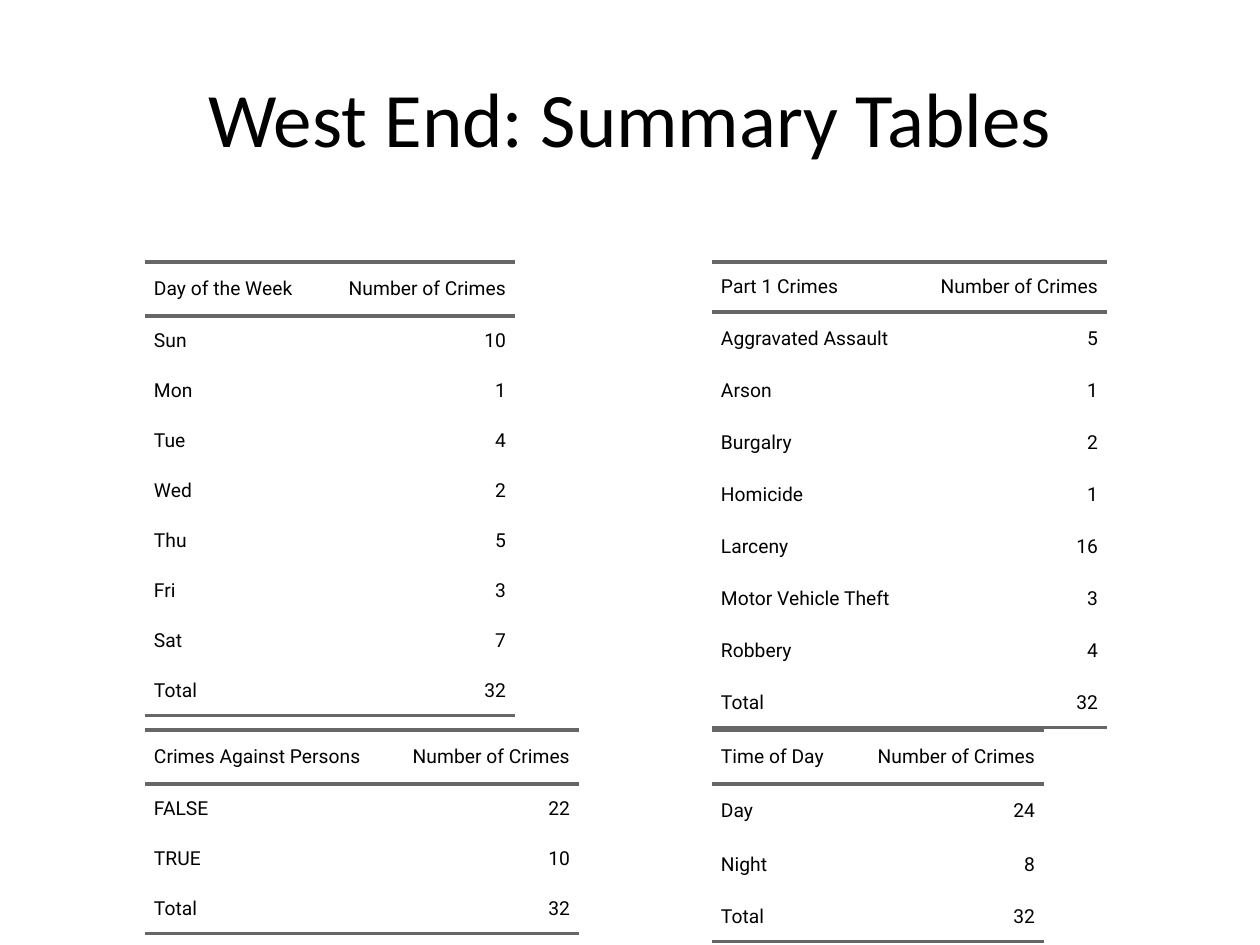
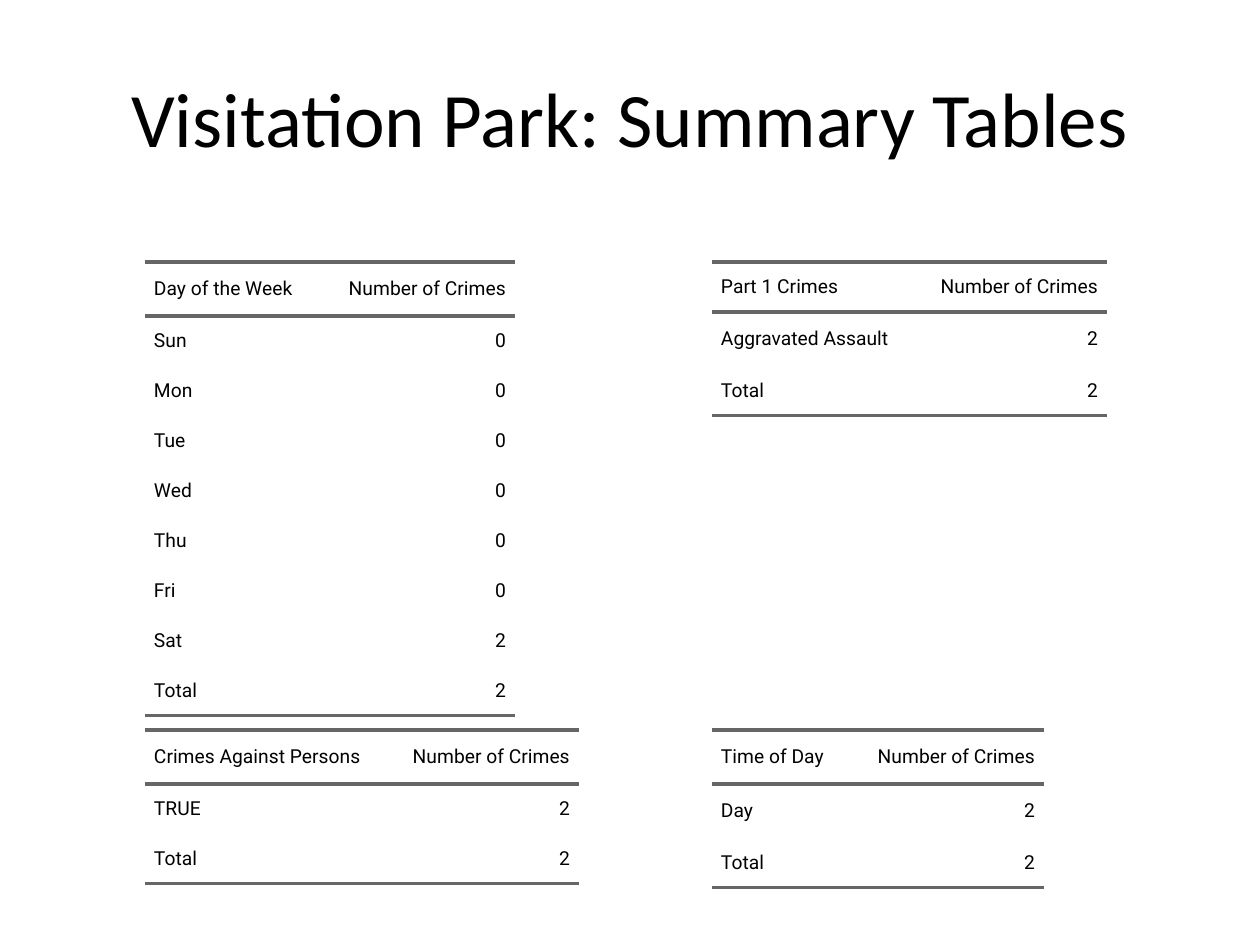
from dataclasses import dataclass
from itertools import cycle, islice

from lxml.etree import SubElement
from pptx import Presentation
from pptx.dml.color import RGBColor
from pptx.enum.text import MSO_ANCHOR, PP_ALIGN
from pptx.oxml.ns import qn
from pptx.util import Pt

EMU_PER_PX = 914400 / 126
NO_STYLE = "{2D5ABB26-0587-4C30-8999-92F81FD0307C}"


@dataclass(frozen=True)
class Theme:
    text: str = "000000"
    background: str = "FFFFFF"
    rule: str = "666666"
    rule_pt: int = 2
    title_font: str = "Calibri"
    title_size: int = 44
    table_font: str = "Roboto"
    table_size: int = 11


@dataclass(frozen=True)
class TableKind:
    heading: str
    left: int
    top: int
    label_width: int
    header_height: int
    body_heights: tuple


THEME = Theme()
SLIDE_SIZE = (1260, 945)
TITLE_BOX = (63, 38, 1134, 157)
LEFT, RIGHT = 145, 712
UPPER, LOWER = 262, 730
COUNT_WIDTH = 192
TOTAL_HEIGHT = 50
CELL_INSET = 9

PART_1 = TableKind("Part 1 Crimes", RIGHT, UPPER, 203, 50, (54, 50))
WEEKDAY = TableKind("Day of the Week", LEFT, UPPER, 178, 54, (50,))
PERSONS = TableKind("Crimes Against Persons", LEFT, LOWER, 242, 54, (50,))
TIME = TableKind("Time of Day", RIGHT, LOWER, 140, 54, (54,))

DAYS = ("Sun", "Mon", "Tue", "Wed", "Thu", "Fri", "Sat")

AREAS = {
    "West End": (
        (PART_1, {"Aggravated Assault": 5, "Arson": 1, "Burgalry": 2, "Homicide": 1,
                  "Larceny": 16, "Motor Vehicle Theft": 3, "Robbery": 4}),
        (WEEKDAY, dict(zip(DAYS, (10, 1, 4, 2, 5, 3, 7)))),
        (PERSONS, {"FALSE": 22, "TRUE": 10}),
        (TIME, {"Day": 24, "Night": 8}),
    ),
    "Visitation Park": (
        (PART_1, {"Aggravated Assault": 2}),
        (WEEKDAY, dict(zip(DAYS, (0, 0, 0, 0, 0, 0, 2)))),
        (PERSONS, {"TRUE": 2}),
        (TIME, {"Day": 2}),
    ),
}


def px(length):
    return round(length * EMU_PER_PX)


def write(tf, text, *, font, size, align, color=THEME.text):
    p = tf.paragraphs[0]
    p.alignment = align
    r = p.add_run()
    r.text = text
    r.font.name = font
    r.font.size = Pt(size)
    r.font.color.rgb = RGBColor.from_string(color)


def add_rule(cell, side):
    tc_pr = cell._tc.get_or_add_tcPr()
    ln = SubElement(tc_pr, qn(f"a:{side}"), w=str(Pt(THEME.rule_pt)))
    fill = SubElement(ln, qn("a:solidFill"))
    SubElement(fill, qn("a:srgbClr"), val=THEME.rule)


def fill_cell(cell, text, align, sides):
    cell.margin_left = cell.margin_right = px(CELL_INSET)
    cell.margin_top = cell.margin_bottom = 0
    cell.vertical_anchor = MSO_ANCHOR.MIDDLE
    for side in sides:
        add_rule(cell, side)
    cell.fill.background()
    write(cell.text_frame, text, font=THEME.table_font, size=THEME.table_size, align=align)


def add_title(s, text, box):
    sp = s.shapes.title
    sp.left, sp.top, sp.width, sp.height = map(px, box)
    sp.text_frame.vertical_anchor = MSO_ANCHOR.MIDDLE
    write(sp.text_frame, text, font=THEME.title_font, size=THEME.title_size,
          align=PP_ALIGN.CENTER)


def add_summary_table(s, kind, counts):
    rows = [(kind.heading, "Number of Crimes"), *counts.items(),
            ("Total", sum(counts.values()))]
    heights = [kind.header_height, *islice(cycle(kind.body_heights), len(counts)),
               TOTAL_HEIGHT]
    widths = (kind.label_width, COUNT_WIDTH)
    box = (kind.left, kind.top, sum(widths), sum(heights))
    table = s.shapes.add_table(len(rows), len(widths), *map(px, box)).table
    table.first_row = table.horz_banding = False
    table._tbl.tblPr.find(qn("a:tableStyleId")).text = NO_STYLE
    for column, width in zip(table.columns, widths):
        column.width = px(width)
    rules = {0: ("lnT", "lnB"), len(rows) - 1: ("lnB",)}
    for i, (values, height) in enumerate(zip(rows, heights)):
        table.rows[i].height = px(height)
        for j, (value, align) in enumerate(zip(values, (PP_ALIGN.LEFT, PP_ALIGN.RIGHT))):
            fill_cell(table.cell(i, j), str(value), align, rules.get(i, ()))


def add_area_slide(prs, area, tables):
    s = prs.slides.add_slide(prs.slide_layouts.get_by_name("Title Only"))
    add_title(s, f"{area}: Summary Tables", TITLE_BOX)
    for kind, counts in tables:
        add_summary_table(s, kind, counts)


def main():
    prs = Presentation()
    prs.slide_width, prs.slide_height = map(px, SLIDE_SIZE)
    background = prs.slide_master.background.fill
    background.solid()
    background.fore_color.rgb = RGBColor.from_string(THEME.background)
    for area, tables in AREAS.items():
        add_area_slide(prs, area, tables)
    prs.save("out.pptx")


if __name__ == "__main__":
    main()
